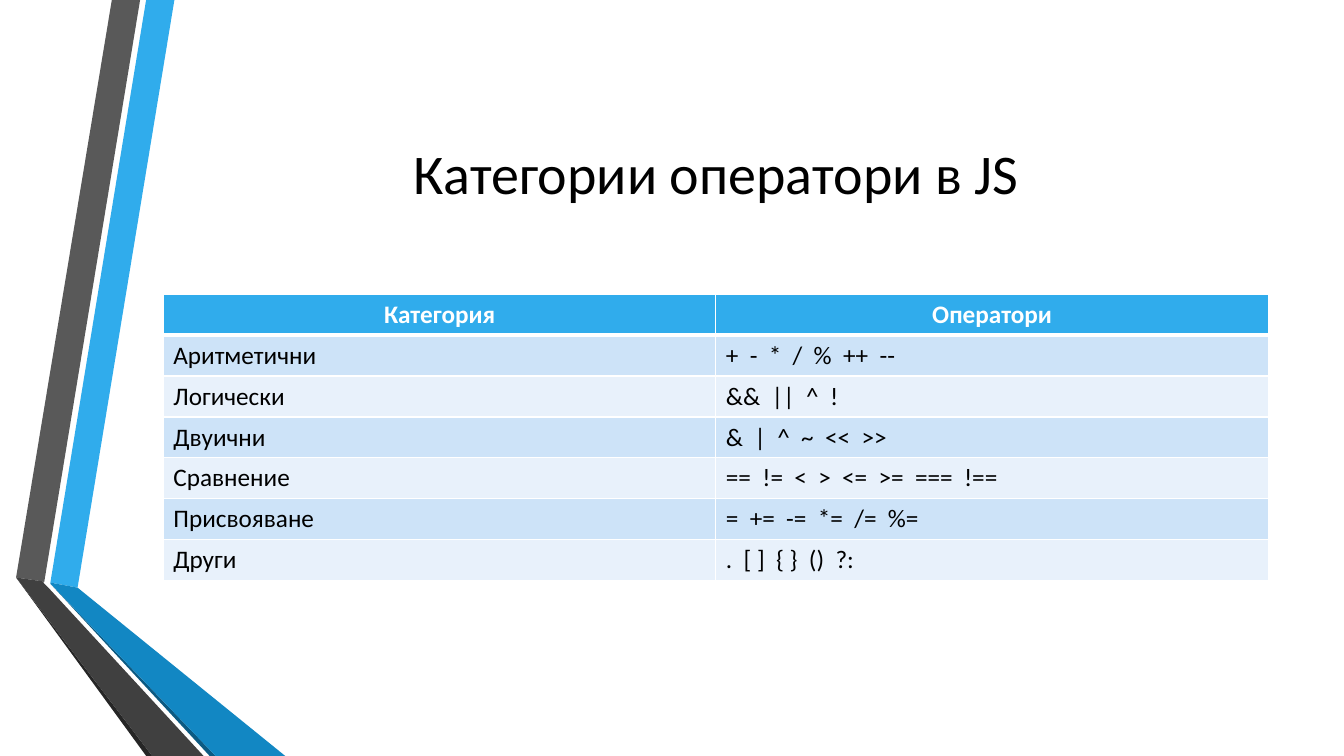
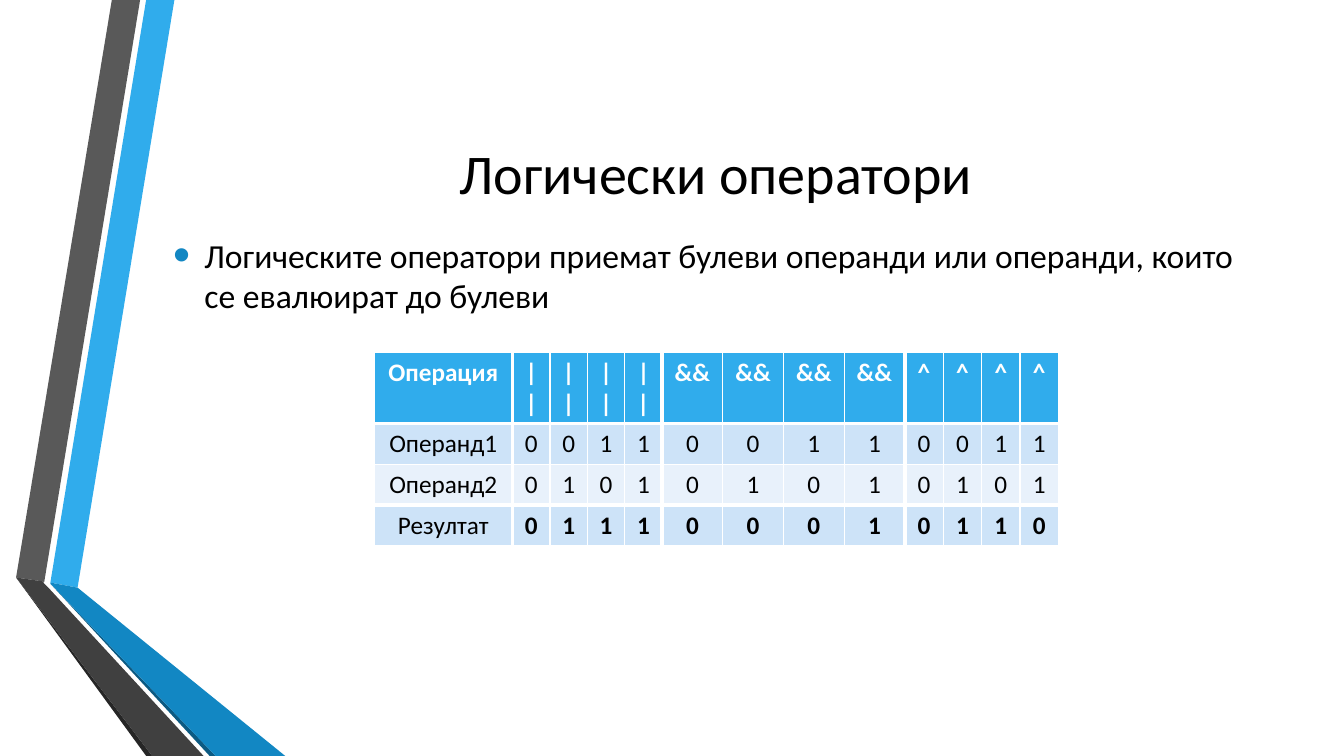
from dataclasses import dataclass
from itertools import product

from lxml import etree
from pptx import Presentation
from pptx import util as u
from pptx.dml.color import RGBColor
from pptx.enum import text
from pptx.oxml.ns import qn

UNIT = u.Inches(0.01)  # one grid column or row
COLS, ROWS = 1333, 750
LEFT, WIDE = 162, 1096  # content area


@dataclass(frozen=True)
class Theme:
    font: str = "Calibri"
    head: int = 40
    body: int = 24
    cell: int = 18
    ink: str = "000000"
    paper: str = "FFFFFF"
    sky: str = "30ACEC"
    blue: str = "1287C3"
    navy: str = "0C5A82"
    gray: str = "595959"
    dark: str = "404040"
    coal: str = "262626"
    tints: tuple = ("E8F1FB", "CDE3F8")
    thin: int = 1
    thick: int = 3


LOOK = Theme()
CENTER, START = text.PP_ALIGN.CENTER, text.PP_ALIGN.LEFT

BANDS = [
    (LOOK.sky, [(50, 578), (77, 583), (173, 0), (145, 0)]),
    (LOOK.gray, [(139, 0), (111, 0), (16, 573), (44, 577)]),
    (LOOK.coal, [(16, 573), (145, 750), (151, 750)]),
    (LOOK.navy, [(50, 579), (208, 750), (214, 750)]),
    (LOOK.blue, [(50, 579), (214, 750), (283, 750), (77, 583), (50, 578)]),
    (LOOK.dark, [(202, 750), (48, 583), (43, 578), (44, 577), (16, 573),
                 (151, 750)]),
]


def grid(*units):
    return [round(n * UNIT) for n in units]


def node(parent, tag, **attrs):
    return etree.SubElement(parent, qn(tag), attrs)


def write(frame, words, size=LOOK.cell, color=LOOK.ink, bold=False,
          align=START, gap=4):
    """Fill a frame; a tuple of words is set apart by spaces widened by gap points."""
    para = frame.paragraphs[0]
    para.alignment = align
    parts = [words] if isinstance(words, str) else list(words)
    for i, part in enumerate(parts):
        for piece in ([" ", part] if i else [part]):
            run = para.add_run()
            run.text = piece
            font = run.font
            font.name, font.size, font.bold = LOOK.font, u.Pt(size), bold
            font.color.rgb = RGBColor.from_string(color)
            if piece == " ":
                run.font._element.set("spc", str(gap * 100))
    return para


def edge(cell, side, width):
    line = node(cell._tc.get_or_add_tcPr(), f"a:ln{side}", w=str(u.Pt(width)))
    node(node(line, "a:solidFill"), "a:srgbClr", val=LOOK.paper)


class Deck:
    def __init__(self):
        self.file = Presentation()
        self.file.slide_width, self.file.slide_height = grid(COLS, ROWS)
        self.base = self.file.slide_layouts[5]
        self.slide = None

    def page(self, title):
        first = self.slide is None
        self.slide = self.file.slides.add_slide(self.base)
        if first:
            self.bands()
        head = self.slide.shapes.title
        head.left, head.top, head.width, head.height = grid(LEFT, 75, WIDE, 192)
        frame = head.text_frame
        frame.vertical_anchor = text.MSO_ANCHOR.MIDDLE
        frame.auto_size = text.MSO_AUTO_SIZE.NONE
        write(frame, title, size=LOOK.head, align=CENTER)

    def bands(self):
        """Draw the side bands and hand them to the layout all slides share."""
        for i, (color, points) in enumerate(BANDS):
            pen = self.slide.shapes.build_freeform(*points[0], scale=UNIT)
            pen.add_line_segments(points[1:], close=True)
            band = pen.convert_to_shape()
            band.fill.solid()
            band.fill.fore_color.rgb = RGBColor.from_string(color)
            band.line.fill.background()
            band.shadow.inherit = False
            band.element.nvSpPr.cNvPr.set("id", str(20 + i))
            self.base.shapes.element.insert(2 + i, band.element)

    def bullet(self, words, *area):
        frame = self.slide.shapes.add_textbox(*grid(*area)).text_frame
        frame.word_wrap = True
        para = write(frame, words, size=LOOK.body)
        props = para._p.get_or_add_pPr()
        indent = grid(31)[0]
        props.set("marL", str(indent))
        props.set("indent", str(-indent))
        node(node(props, "a:buClr"), "a:srgbClr", val=LOOK.blue)
        node(props, "a:buSzPct", val="145000")
        node(props, "a:buFont", typeface="Arial")
        node(props, "a:buChar", char="•")

    def table(self, rows, area, shares, align=START, rules=(0,), walls=(),
              strong=()):
        """Rules and walls are the rows and columns that end in a thick line."""
        body = self.slide.shapes.add_table(
            len(rows), len(shares), *grid(*area)).table
        for col, share in zip(body.columns, shares):
            col.width = grid(area[2] * share / sum(shares))[0]
        for r, row in enumerate(rows):
            for c, words in enumerate(row):
                cell = body.cell(r, c)
                sides = {"L": c - 1 in walls, "R": c in walls,
                         "T": r - 1 in rules, "B": r in rules}
                for side, heavy in sides.items():
                    edge(cell, side, LOOK.thick if heavy else LOOK.thin)
                top = r == 0
                cell.fill.solid()
                cell.fill.fore_color.rgb = RGBColor.from_string(
                    LOOK.sky if top else LOOK.tints[r % 2])
                write(cell.text_frame, words,
                      color=LOOK.paper if top else LOOK.ink,
                      bold=top or (r in strong and c > 0),
                      align=CENTER if top else align)


KINDS = [
    ("Категория", "Оператори"),
    ("Аритметични", ("+", "-", "*", "/", "%", "++", "--")),
    ("Логически", ("&&", "||", "^", "!")),
    ("Двуични", ("&", "|", "^", "~", "<<", ">>")),
    ("Сравнение", ("==", "!=", "<", ">", "<=", ">=", "===", "!==")),
    ("Присвояване", ("=", "+=", "-=", "*=", "/=", "%=")),
    ("Други", (".", "[ ]", "{ }", "()", "?:")),
]

LOGIC = {
    "||": lambda a, b: a | b,
    "&&": lambda a, b: a & b,
    "^": lambda a, b: a ^ b,
}


def truth():
    """Rows of the truth table, four columns for each operator."""
    cols = [("Операция", "Операнд1", "Операнд2", "Резултат")]
    for sign, rule in LOGIC.items():
        for a, b in product((0, 1), repeat=2):
            cols.append((sign, str(a), str(b), str(rule(a, b))))
    return list(zip(*cols))


def main():
    deck = Deck()
    deck.page("Категории оператори в JS")
    deck.table(KINDS, (LEFT, 292, WIDE, 284), (1, 1))

    deck.page("Логически оператори")
    deck.bullet("Логическите оператори приемат булеви операнди или операнди, "
                "които се евалюират до булеви", LEFT, 228, WIDE, 100)
    deck.table(truth(), (371, 350, 679, 162),
               [137] + [37] * 4 + [60] * 4 + [38] * 4,
               align=CENTER, rules=(0, 2), walls=(0, 4, 8), strong=(3,))
    deck.file.save("out.pptx")


if __name__ == "__main__":
    main()
